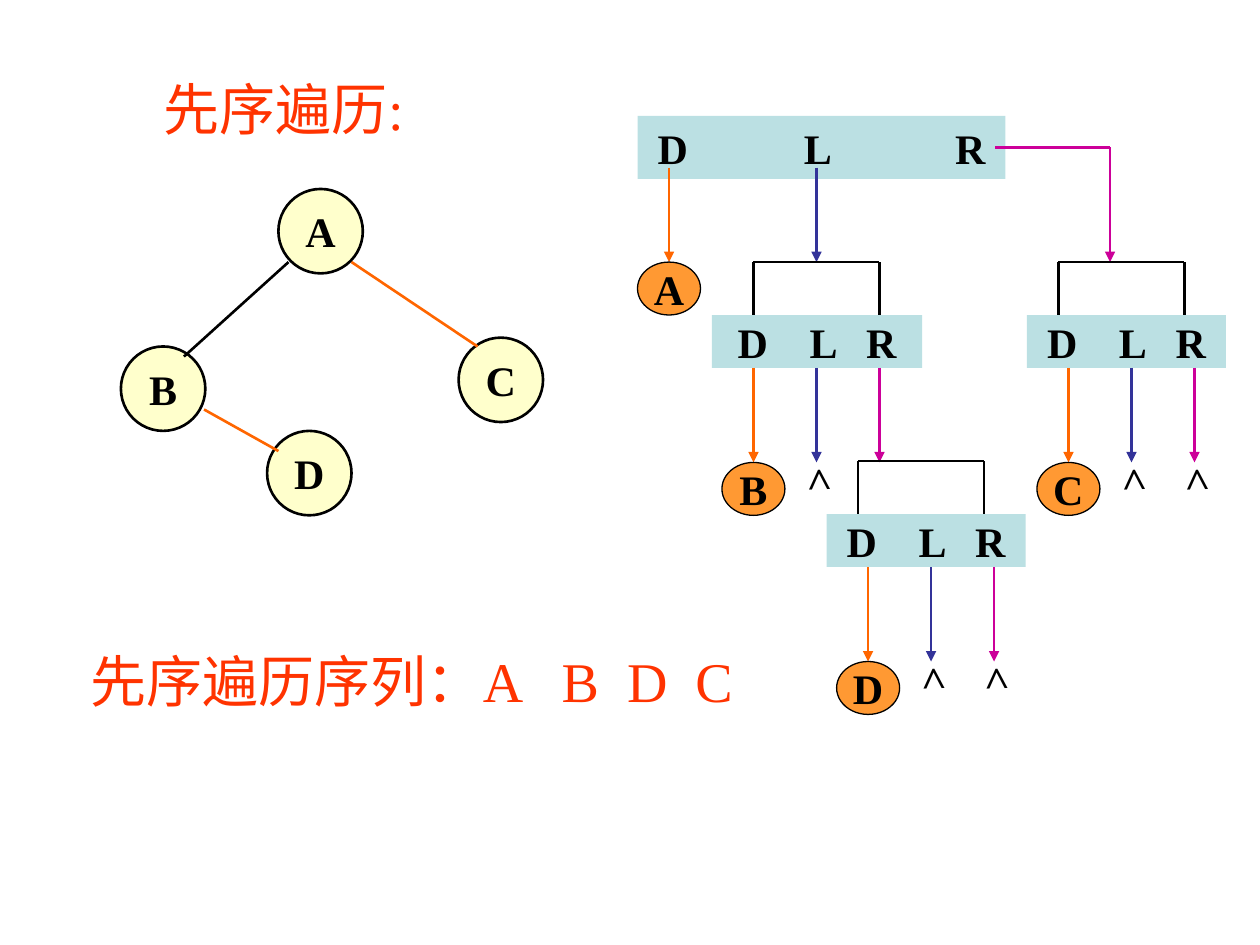
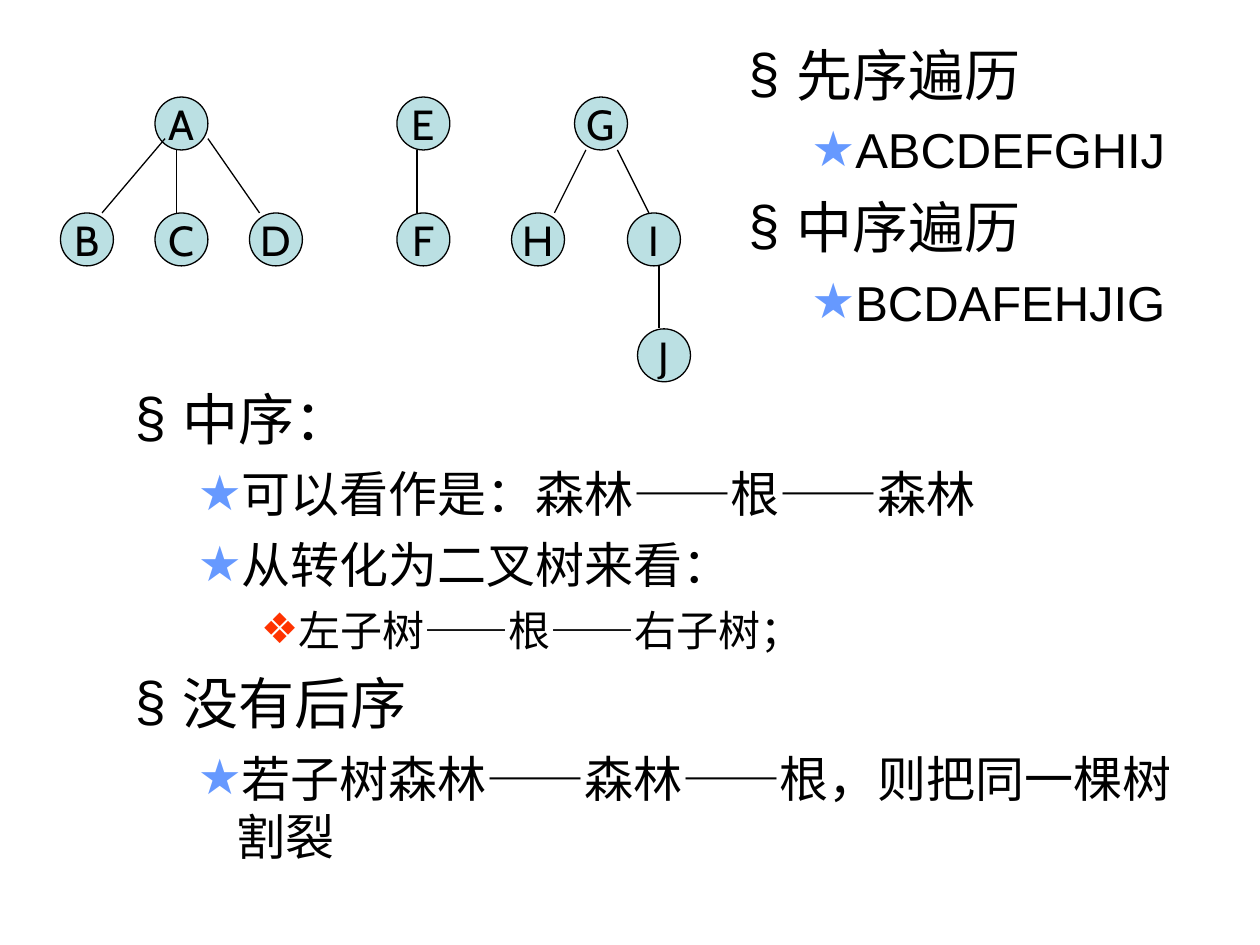
from lxml.etree import SubElement
from pptx import Presentation
from pptx.dml.color import RGBColor
from pptx.enum.shapes import MSO_CONNECTOR, MSO_SHAPE
from pptx.enum.text import MSO_ANCHOR as Anchor, MSO_AUTO_SIZE as AutoSize, PP_ALIGN as Align
from pptx.oxml.ns import qn
from pptx.util import Inches, Pt

COLORS = {
    "black": "000000", "heading": "FF3300", "node": "FFFFCC", "visited": "FF9933",
    "band": "BBE0E3", "root": "FF6600", "left": "333399", "right": "CC0099",
    "star": "6699FF",
}
LETTER = {"name": "Times New Roman", "size": Pt(24), "bold": True}
FOREST_LETTER = {"name": "Cabin", "size": Pt(24), "bold": False}
HEADING = {"name": "Times New Roman", "size": Pt(32), "bold": False}
FRAME = {
    "margin_left": Inches(0.1), "margin_right": Inches(0.1),
    "margin_top": Inches(0.05), "margin_bottom": Inches(0.05),
    "auto_size": AutoSize.NONE,
}
# One entry per list level: bullet, its colour, text size, space before, margin, hanging indent
LEVELS = [
    ("§", "black", 32, 8, 0.38, 0.38),
    ("★", "star", 28, 7, 0.81, 0.31),
    ("❖", "heading", 24, 6, 1.25, 0.25),
]
STEP_COLORS = ("root", "left", "right")
BAND_HEIGHT = 0.42
ARROW_LENGTH = 0.75


def rgb(name):
    return RGBColor.from_string(COLORS[name])


def apply_format(target, values):
    for name, value in values.items():
        setattr(target, name, value)


def place(shape, box):
    for name, value in zip(("left", "top", "width", "height"), box):
        setattr(shape, name, Inches(value))


def write_line(frame, text, font, color="black", align=Align.LEFT, tabs=(), **frame_values):
    """Put one formatted line in a frame, with tab stops in inches from its text edge."""
    apply_format(frame, {**FRAME, **frame_values})
    paragraph = frame.paragraphs[0]
    paragraph.text = text
    paragraph.alignment = align
    if tabs:
        tab_list = SubElement(paragraph._p.get_or_add_pPr(), qn("a:tabLst"))
        for position in tabs:
            SubElement(tab_list, qn("a:tab"), pos=str(Inches(position)), algn="l")
    for run in paragraph.runs:
        apply_format(run.font, font)
        run.font.color.rgb = rgb(color)


def add_block(slide, preset, box, fill, line_width=0):
    shape = slide.shapes.add_shape(preset, *map(Inches, box))
    shape.shadow.inherit = False
    shape.fill.solid()
    shape.fill.fore_color.rgb = rgb(fill)
    if line_width:
        shape.line.color.rgb = rgb("black")
        shape.line.width = Pt(line_width)
    else:
        shape.line.fill.background()
    return shape


def add_node(slide, letter, box, fill, line_width, font=LETTER):
    node = add_block(slide, MSO_SHAPE.OVAL, box, fill, line_width)
    write_line(node.text_frame, letter, font, align=Align.CENTER,
               word_wrap=False, vertical_anchor=Anchor.MIDDLE)


def add_line(slide, start, end, color="black", width=1.5, arrow=False):
    connector = slide.shapes.add_connector(MSO_CONNECTOR.STRAIGHT, *map(Inches, start + end))
    connector.line.color.rgb = rgb(color)
    connector.line.width = Pt(width)
    if arrow:
        SubElement(connector.line._get_or_add_ln(), qn("a:tailEnd"), type="triangle")
    SubElement(connector._element.spPr, qn("a:effectLst"))


def add_band(slide, box, text_left, tabs):
    band = add_block(slide, MSO_SHAPE.RECTANGLE, box, "band")
    write_line(band.text_frame, "D\tL\tR", LETTER, tabs=tabs, word_wrap=True,
               vertical_anchor=Anchor.MIDDLE, margin_left=Inches(text_left), margin_right=0)


def add_step(slide, x, top, color, result):
    """Draw an arrow down to a visited node, an empty subtree (^) or a nested call (None)."""
    tip = top + ARROW_LENGTH
    add_line(slide, (x, top), (x, tip), color, arrow=True)
    if result == "^":
        mark = slide.shapes.add_textbox(*map(Inches, (x - 0.21, tip - 0.13, 0.42, 0.5)))
        write_line(mark.text_frame, ">", LETTER, word_wrap=True)
        mark.rotation = 268.3
    elif result:
        add_node(slide, result, (x - 0.25, tip, 0.5, 0.42), "visited", 0.75)


def add_call(slide, left, top, width, bracket_left, results):
    """Draw one recursive call: bracket, D L R band and the outcome of its three steps."""
    bracket_top = top - 0.42
    bracket_right = bracket_left + 1
    add_line(slide, (bracket_left, bracket_top), (bracket_right, bracket_top))
    for x in (bracket_left, bracket_right):
        add_line(slide, (x, bracket_top), (x, top))
    add_band(slide, (left, top, width, BAND_HEIGHT), width / 2 - 0.63, (0.57, 1.02))
    for index, (color, result) in enumerate(zip(STEP_COLORS, results)):
        add_step(slide, left + 0.33 + index * 0.5, top + BAND_HEIGHT, color, result)


def add_binary_tree(slide, left, top):
    size = 0.67
    nodes = {"A": (1.25, 0), "D": (1.16, 1.92), "B": (0, 1.25), "C": (2.68, 1.18)}
    edges = [
        ((1.33, 0.58), (0.5, 1.33), "black"),
        ((1.83, 0.58), (2.83, 1.25), "root"),
        ((0.66, 1.75), (1.25, 2.08), "root"),
    ]
    for letter, (x, y) in nodes.items():
        add_node(slide, letter, (left + x, top + y, size, size), "node", 1.5)
    for (x1, y1), (x2, y2), color in edges:
        add_line(slide, (left + x1, top + y1), (left + x2, top + y2), color)


def add_call_tree(slide, left, top):
    add_band(slide, (left, top, 2.92, 0.5), 0.16, (1.16, 2.36))
    add_step(slide, left + 0.25, top + 0.41, "root", "A")
    add_step(slide, left + 1.42, top + 0.41, "left", None)
    turn = (left + 3.75, top + 0.25)
    add_line(slide, (left + 2.84, top + 0.25), turn, "right")
    add_line(slide, turn, (left + 3.75, top + 1.16), "right", arrow=True)
    calls = [
        (0.59, 1.58, 1.67, 0.92, ("B", "^", None)),
        (1.5, 3.16, 1.58, 1.75, ("D", "^", "^")),
        (3.09, 1.58, 1.58, 3.34, ("C", "^", "^")),
    ]
    for x, y, width, bracket_x, results in calls:
        add_call(slide, left + x, top + y, width, left + bracket_x, results)


def add_forest(slide, left, top):
    size, row_height = 0.42, 0.92
    rows = [
        {"A": 0.75, "E": 2.67, "G": 4.08},
        {"B": 0, "C": 0.75, "D": 1.5, "F": 2.67, "H": 3.58, "I": 4.5},
        {"J": 4.58},
    ]
    edges = [
        ((0.92, 0.42), (0.92, 0.92)), ((0.83, 0.33), (0.33, 0.92)),
        ((1.17, 0.33), (1.58, 0.92)), ((2.83, 0.42), (2.83, 0.92)),
        ((4.17, 0.42), (3.92, 0.92)), ((4.42, 0.42), (4.67, 0.92)),
        ((4.75, 1.33), (4.75, 1.83)),
    ]
    for index, row in enumerate(rows):
        for letter, x in row.items():
            box = (left + x, top + index * row_height, size, size)
            add_node(slide, letter, box, "band", 0.75, FOREST_LETTER)
    for (x1, y1), (x2, y2) in edges:
        add_line(slide, (left + x1, top + y1), (left + x2, top + y2), width=0.75)


def fill_list(placeholder, box, items):
    """Fill a body placeholder with (level, text) items."""
    place(placeholder, box)
    frame = placeholder.text_frame
    apply_format(frame, {**FRAME, "word_wrap": True, "vertical_anchor": Anchor.TOP})
    for index, (level, text) in enumerate(items):
        bullet, color, size, space, margin, hanging = LEVELS[level]
        paragraph = frame.add_paragraph() if index else frame.paragraphs[0]
        paragraph.text = text
        properties = paragraph._p.get_or_add_pPr()
        properties.set("marL", str(Inches(margin)))
        properties.set("indent", str(-Inches(hanging)))
        bullet_color = SubElement(properties, qn("a:buClr"))
        SubElement(bullet_color, qn("a:srgbClr"), val=COLORS[color])
        SubElement(properties, qn("a:buFont"), typeface="Arial")
        SubElement(properties, qn("a:buChar"), char=bullet)
        apply_format(paragraph, {
            "level": level, "alignment": Align.LEFT, "line_spacing": 1.0,
            "space_before": Pt(space if index else 0), "space_after": Pt(0),
        })
        run = paragraph.runs[0]
        apply_format(run.font, {"name": "Arial", "size": Pt(size)})
        run.font.color.rgb = rgb("black")


def build_preorder_slide(presentation):
    slide = presentation.slides.add_slide(presentation.slide_layouts[5])
    title = slide.shapes.title
    place(title, (1.2, 0.54, 2.21, 0.64))
    write_line(title.text_frame, "先序遍历:", HEADING, "heading",
               word_wrap=False, vertical_anchor=Anchor.TOP)
    add_binary_tree(slide, 0.96, 1.5)
    add_call_tree(slide, 5.06, 0.92)
    sequence = slide.shapes.add_textbox(*map(Inches, (0.62, 5.08, 5.5, 0.64)))
    write_line(sequence.text_frame, "先序遍历序列：A\tB\tD\tC", HEADING, "heading",
               tabs=(3.74, 4.26, 4.8), word_wrap=True)


def build_forest_slide(presentation):
    slide = presentation.slides.add_slide(presentation.slide_layouts[3])
    title, orders, notes = slide.placeholders
    title._element.getparent().remove(title._element)
    add_forest(slide, 0.48, 0.77)
    fill_list(orders, (5.84, 0.27, 3.71, 2.52), [
        (0, "先序遍历"),
        (1, "ABCDEFGHIJ"),
        (0, "中序遍历"),
        (1, "BCDAFEHJIG"),
    ])
    fill_list(notes, (0.97, 3, 8.5, 4.5), [
        (0, "中序："),
        (1, "可以看作是：森林——根——森林"),
        (1, "从转化为二叉树来看："),
        (2, "左子树——根——右子树；"),
        (0, "没有后序"),
        (1, "若子树森林——森林——根，则把同一棵树割裂"),
    ])


def main():
    presentation = Presentation()
    presentation.slide_width = Inches(10)
    presentation.slide_height = Inches(7.5)
    build_preorder_slide(presentation)
    build_forest_slide(presentation)
    presentation.save("out.pptx")


if __name__ == "__main__":
    main()
